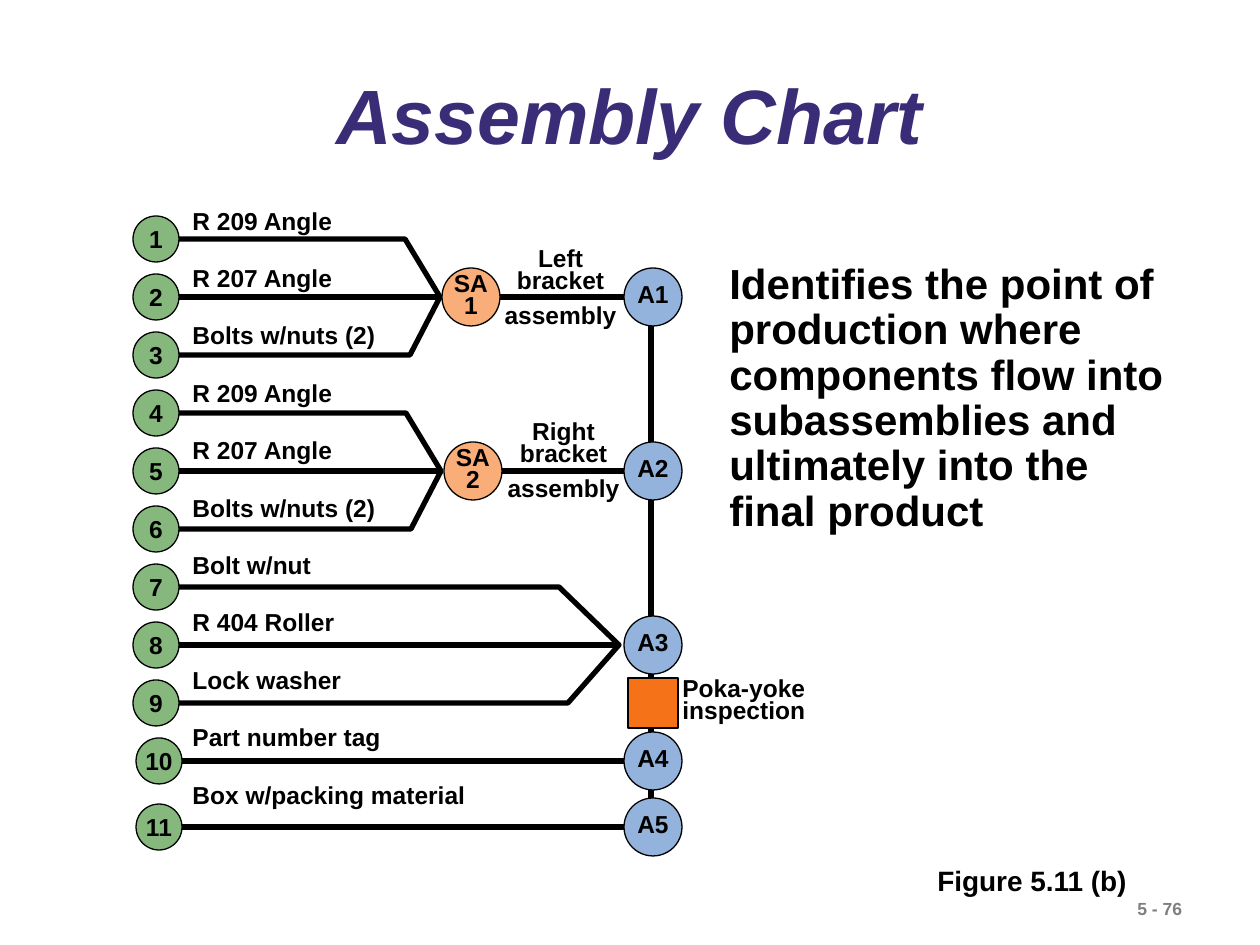
from pptx import Presentation
from pptx.dml.color import RGBColor
from pptx.enum.shapes import MSO_CONNECTOR, MSO_SHAPE
from pptx.enum.text import MSO_ANCHOR, PP_ALIGN
from pptx.oxml.ns import qn
from pptx.util import Pt

SCALE = 914400 / 126
STRAIGHT = MSO_CONNECTOR.STRAIGHT
OVAL, RECT = MSO_SHAPE.OVAL, MSO_SHAPE.RECTANGLE
LEFT, CENTER = PP_ALIGN.LEFT, PP_ALIGN.CENTER
MIDDLE = MSO_ANCHOR.MIDDLE
BLACK, PURPLE, GRAY = "000000", "3A2C76", "7F7F7F"
GREEN, PEACH, BLUE, ORANGE = "86B87D", "F9AD78", "93B3DD", "F57219"

TITLE = "Assembly Chart"
PARTS = [
    "R 209 Angle", "R 207 Angle", "Bolts w/nuts (2)",
    "R 209 Angle", "R 207 Angle", "Bolts w/nuts (2)",
    "Bolt w/nut", "R 404 Roller", "Lock washer",
    "Part number tag", "Box w/packing material",
]
# first row, upper bend, lower bend, tip
MERGES = [(0, 405, 410, 440), (3, 406, 411, 441), (6, 559, 568, 619)]
# name, row, centre, label, label left, label top
SUBS = [
    ("SA\v1", 1, 471, "Left\vbracket\nassembly", 482, 244),
    ("SA\v2", 4, 473, "Right\vbracket\nassembly", 485, 417),
]
STAGES = [("A1", 1), ("A2", 4), ("A3", 7), ("A4", 9), ("A5", 10)]
# text, left, top, width, height, size, colour, line spacing
NOTES = [
    ("Poka-yoke inspection", 670, 674, 157, 57, 14, BLACK, 0.75),
    ("Identifies the point of production where components flow into "
     "subassemblies and ultimately into the final product",
     717, 257, 465, 285, 24, BLACK, 0.9),
    ("Figure 5.11 (b)", 925, 857, 230, 47, 16, BLACK, 1),
    ("5 - 76", 1125, 892, 135, 34, 10, GRAY, 1),
]

ROWS = [239 + 58 * i for i in range(10)] + [827]
PART_X, STAGE_X, SPINE_X = 156, 653, 651


def emu(px):
    return round(px * SCALE)


def color(code):
    return RGBColor.from_string(code)


def style(frame, text, size, code=BLACK, align=LEFT, gap=1, italic=False):
    frame.text = text
    for n, para in enumerate(frame.paragraphs):
        para.alignment = align
        para.line_spacing = gap
        if n:
            para.space_before = Pt(7)
        for run in para.runs:
            font = run.font
            font.name, font.size = "Arial", Pt(size)
            font.bold, font.italic = True, italic
            font.color.rgb = color(code)


def add_text(text, x, y, w, h, size, code=BLACK, gap=1, align=LEFT):
    box = shapes.add_textbox(emu(x), emu(y), emu(w), emu(h))
    box.text_frame.word_wrap = True
    style(box.text_frame, text, size, code, align, gap)


def add_line(x1, y1, x2, y2):
    line = shapes.add_connector(STRAIGHT, emu(x1), emu(y1), emu(x2), emu(y2))
    line.line.color.rgb = color(BLACK)
    line.line.width = Pt(3)
    props = line._element.spPr
    props.append(props.makeelement(qn("a:effectLst"), {}))


def add_merge(points):
    pen = shapes.build_freeform(*points[0], scale=SCALE)
    pen.add_line_segments(points[1:], close=False)
    shape = pen.convert_to_shape()
    shape.shadow.inherit = False
    shape.fill.background()
    shape.line.color.rgb = color(BLACK)
    shape.line.width = Pt(3)


def add_node(kind, x, y, size, code, text="", gap=1):
    shape = shapes.add_shape(
        kind, emu(x - size / 2), emu(y - size / 2), emu(size), emu(size))
    shape.shadow.inherit = False
    shape.fill.solid()
    shape.fill.fore_color.rgb = color(code)
    shape.line.color.rgb = color(BLACK)
    shape.line.width = Pt(0.75)
    if text:
        frame = shape.text_frame
        frame.margin_left = frame.margin_right = 0
        frame.margin_top = frame.margin_bottom = 0
        frame.word_wrap = False
        frame.vertical_anchor = MIDDLE
        style(frame, text, 14, align=CENTER, gap=gap)


deck = Presentation()
deck.slide_width, deck.slide_height = emu(1260), emu(945)
slide = deck.slides.add_slide(deck.slide_layouts[5])
shapes = slide.shapes

title = shapes.title
title.left, title.top = emu(94), emu(60)
title.width, title.height = emu(1071), emu(125)
title.text_frame.vertical_anchor = MIDDLE
style(title.text_frame, TITLE, 44, PURPLE, CENTER, 0.8, True)

add_line(SPINE_X, ROWS[1], SPINE_X, ROWS[-1])
for first, upper, lower, tip in MERGES:
    top, mid, low = ROWS[first:first + 3]
    add_merge([(PART_X + 16, top), (upper, top), (tip, mid),
               (lower, low), (PART_X + 16, low)])
    add_line(PART_X + 20, mid, tip, mid)
for y in ROWS[9:]:
    add_line(PART_X + 20, y, STAGE_X - 20, y)

for i, (part, y) in enumerate(zip(PARTS, ROWS)):
    x = PART_X if i < 9 else PART_X + 3
    add_node(OVAL, x, y, 46, GREEN, str(i + 1))
    add_text(part, 180, 200 + 574 * i // 10, 310, 43, 14)

for name, row, x, label, left, top in SUBS:
    add_line(x + 26, ROWS[row], STAGE_X - 26, ROWS[row])
    add_node(OVAL, x, ROWS[row], 58, PEACH, name, 0.75)
    add_text(label, left, top, 157, 92, 14, gap=0.75, align=CENTER)

for name, row in STAGES:
    add_node(OVAL, STAGE_X, ROWS[row], 58, BLUE, name, 0.75)
add_node(RECT, STAGE_X, ROWS[8], 50, ORANGE)

for note in NOTES:
    add_text(*note)

deck.save("out.pptx")
